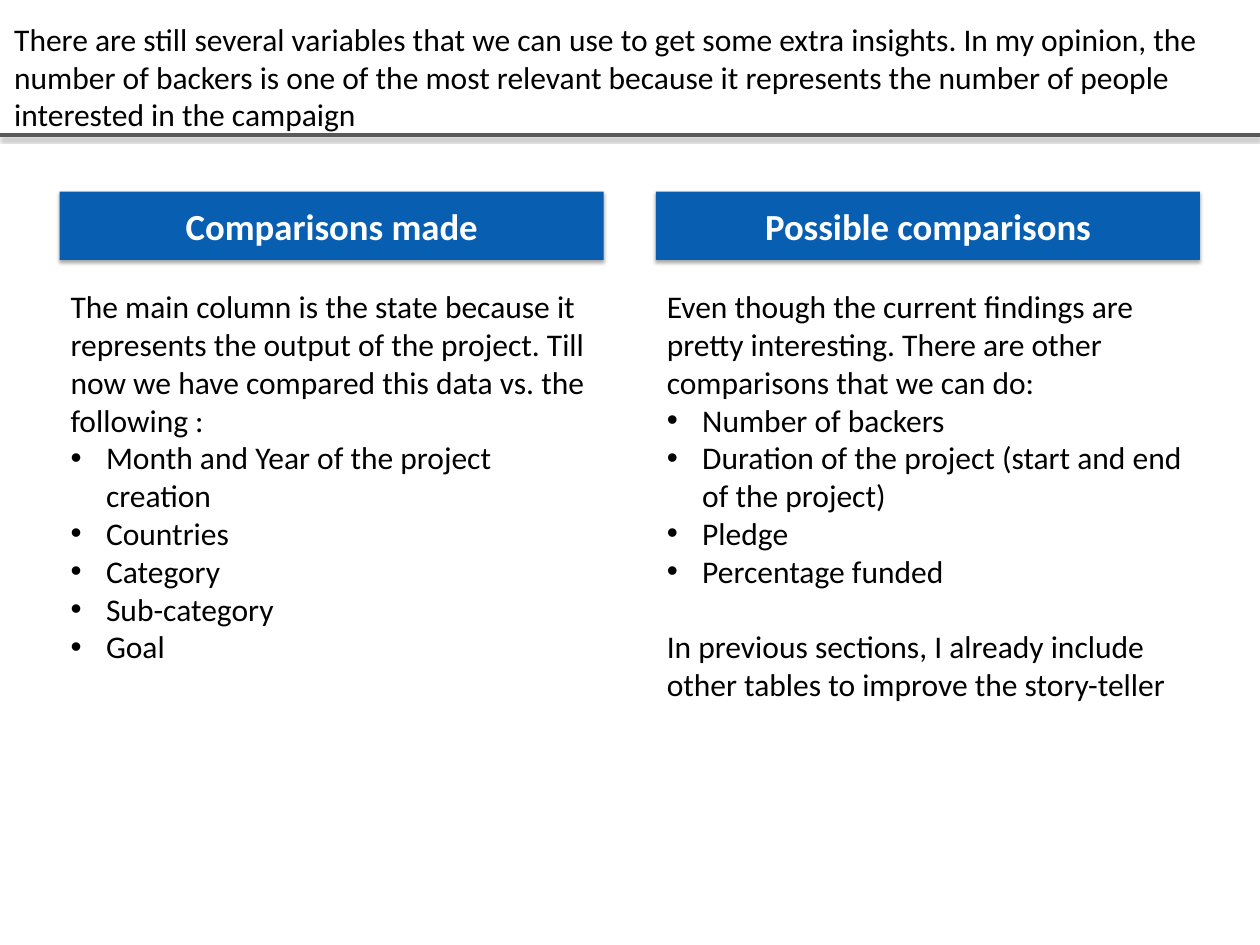
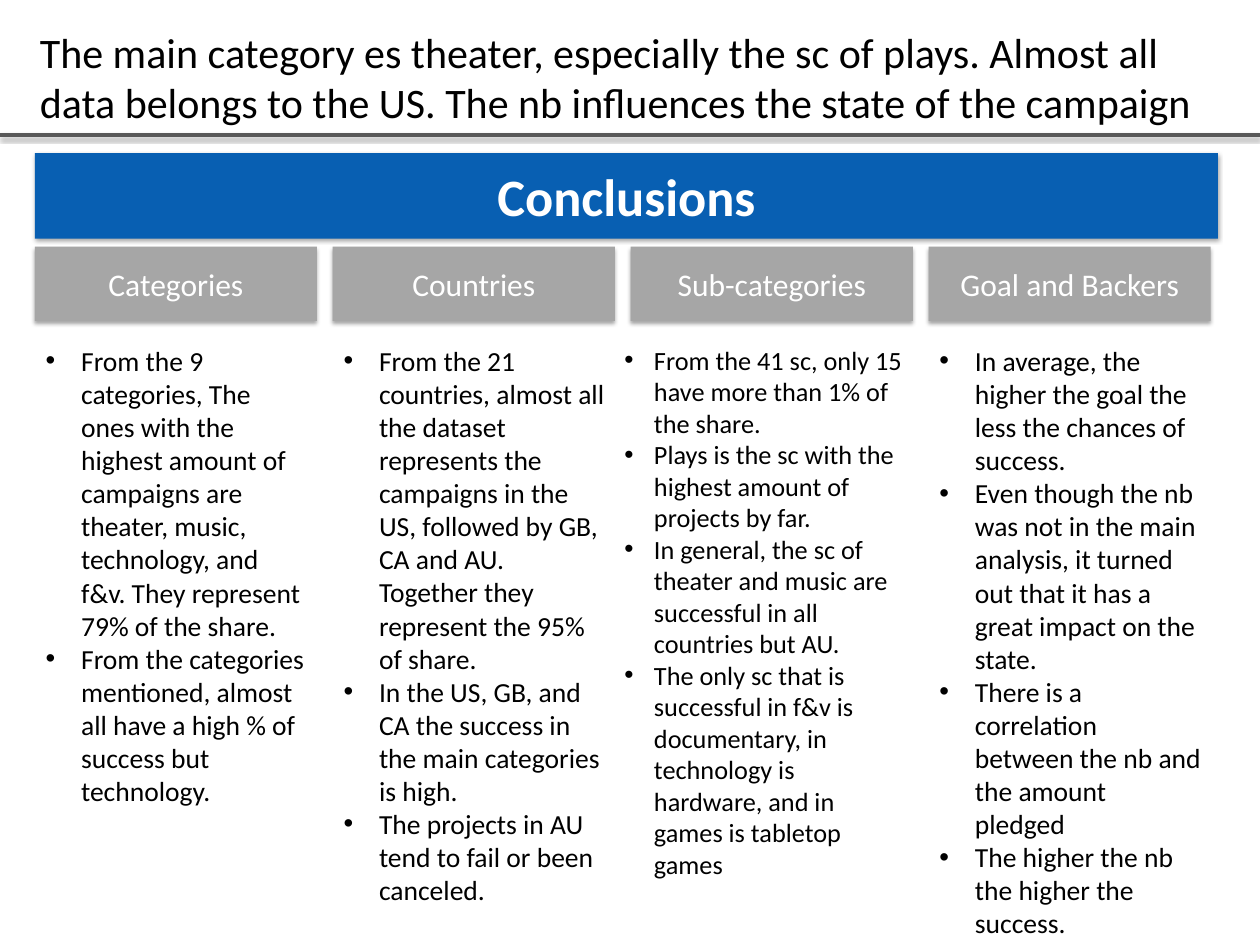
from lxml.etree import SubElement
from pptx import Presentation
from pptx.dml.color import RGBColor
from pptx.enum.shapes import MSO_CONNECTOR, MSO_SHAPE
from pptx.enum.text import MSO_ANCHOR, MSO_AUTO_SIZE, PP_ALIGN
from pptx.oxml.ns import qn
from pptx.util import Pt

COLORS = {"text": "000000", "white": "FFFFFF", "rule": "595959",
          "blue": "085FB2", "gray": "A6A6A6"}
FONT = "Calibri"
WIDTH, HEIGHT = 960, 720


def rgb(name):
    return RGBColor.from_string(COLORS[name])


def add_text(tf, text, size=24, color="text", bold=False, align=PP_ALIGN.LEFT,
             margin=0, hanging=0, bullet=False, before=0):
    p = tf.paragraphs[0] if not tf.text else tf.add_paragraph()
    pPr = p._p.get_or_add_pPr()
    pPr.set("marL", str(Pt(margin)))
    pPr.set("indent", str(-Pt(hanging)))
    if bullet:
        SubElement(pPr, qn("a:buFont"), typeface="Arial")
        SubElement(pPr, qn("a:buChar"), char="•")
    p.alignment = align
    if before:
        p.space_before = Pt(before)
    r = p.add_run()
    r.text = text
    r.font.name, r.font.size, r.font.bold = FONT, Pt(size), bold
    r.font.color.rgb = rgb(color)


def add_shadow(effects):
    shadow = SubElement(effects, qn("a:outerShdw"), blurRad=str(Pt(3.1)),
                        dist=str(Pt(1.8)), dir="5400000", rotWithShape="0")
    black = SubElement(shadow, qn("a:srgbClr"), val="000000")
    SubElement(black, qn("a:alpha"), val="35000")


class Deck:
    def __init__(self):
        self.prs = Presentation()
        self.prs.slide_width, self.prs.slide_height = Pt(WIDTH), Pt(HEIGHT)
        self.s = None

    def slide(self, title, x, width, size):
        self.s = self.prs.slides.add_slide(self.prs.slide_layouts[6])
        self.rule(103)
        tf = self.box(x, 12.25, width, 92).text_frame
        tf.vertical_anchor = MSO_ANCHOR.MIDDLE
        add_text(tf, title, size=size)

    def rule(self, y):
        line = self.s.shapes.add_connector(
            MSO_CONNECTOR.STRAIGHT, Pt(0), Pt(y), Pt(WIDTH), Pt(y))
        line.line.color.rgb = rgb("rule")
        line.line.width = Pt(3)
        add_shadow(SubElement(line._element.spPr, qn("a:effectLst")))

    def box(self, x, y, w, h):
        sp = self.s.shapes.add_textbox(Pt(x), Pt(y), Pt(w), Pt(h))
        sp.text_frame.word_wrap = True
        return sp

    def band(self, text, x, y, w, h, fill="blue", size=24, bold=True):
        sp = self.s.shapes.add_shape(
            MSO_SHAPE.RECTANGLE, Pt(x), Pt(y), Pt(w), Pt(h))
        sp.fill.solid()
        sp.fill.fore_color.rgb = rgb(fill)
        sp.line.fill.background()
        sp.shadow.inherit = False
        add_shadow(sp._element.spPr.find(qn("a:effectLst")))
        tf = sp.text_frame
        tf.word_wrap = True
        tf.vertical_anchor = MSO_ANCHOR.MIDDLE
        tf.margin_left = tf.margin_right = Pt(3.6)
        tf.margin_top = tf.margin_bottom = Pt(3.6)
        add_text(tf, text, size=size, color="white", bold=bold,
                 align=PP_ALIGN.CENTER)

    def body(self, x, y, w, h, bullets, size=24, hanging=27, intro="", closing=""):
        tf = self.box(x, y, w, h).text_frame
        tf.auto_size = MSO_AUTO_SIZE.SHAPE_TO_FIT_TEXT
        if intro:
            add_text(tf, intro, size=size, margin=1.2)
        for text in bullets:
            add_text(tf, text, size=size, margin=hanging + 1.2,
                     hanging=hanging, bullet=True)
        if closing:
            add_text(tf, closing, size=size, margin=1.2, before=size * 1.2)


COMPARISONS = [
    ("Comparisons made", 298, dict(
        intro="The main column is the state because it represents the output of "
              "the project. Till now we have compared this data vs. the following :",
        bullets=["Month and Year of the project creation", "Countries", "Category",
                 "Sub-category", "Goal"])),
    ("Possible comparisons", 327, dict(
        intro="Even though the current findings are pretty interesting. There are "
              "other comparisons that we can do:",
        bullets=["Number of backers",
                 "Duration of the project (start and end of the project)",
                 "Pledge", "Percentage funded"],
        closing="In previous sections, I already include other tables to improve "
                "the story-teller")),
]

CONCLUSIONS = [
    ("Categories", 364, [
        "From the 9 categories, The ones with the highest amount of campaigns are "
        "theater, music, technology, and f&v. They represent 79% of the share.",
        "From the categories mentioned, almost all have a high % of success but "
        "technology."]),
    ("Countries", 440, [
        "From the 21 countries, almost all the dataset represents the campaigns in "
        "the US, followed by GB, CA and AU. Together they represent the 95% of share.",
        "In the US, GB, and CA the success in the main categories is high.",
        "The projects in AU tend to fail or been canceled."]),
    ("Sub-categories", 419, [
        "From the 41 sc, only 15 have more than 1% of the share.",
        "Plays is the sc with the highest amount of projects by far.",
        "In general, the sc of theater and music are successful in all countries "
        "but AU.",
        "The only sc that is successful in f&v is documentary, in technology is "
        "hardware, and in games is tabletop games"]),
    ("Goal and Backers", 491, [
        "In average, the higher the goal the less the chances of success.",
        "Even though the nb was not in the main analysis, it turned out that it has "
        "a great impact on the state.",
        "There is a correlation between the nb and the amount pledged",
        "The higher the nb the higher the success."]),
]


def comparisons_slide(deck):
    deck.slide("There are still several variables that we can use to get some extra "
               "insights. In my opinion, the number of backers is one of the most "
               "relevant because it represents the number of people interested in "
               "the campaign", x=3.75, width=952.5, size=24)
    width, pitch = 414.5, 454.25
    for i, (heading, height, content) in enumerate(COMPARISONS):
        x = 45.5 + i * pitch
        deck.band(heading, x, 146, width, 52, size=28)
        deck.body(x, 215.3, width, height, **content)


def conclusions_slide(deck):
    deck.slide("The main category es theater, especially the sc of plays. Almost all "
               "data belongs to the US. The nb influences the state of the campaign",
               x=23.25, width=901.5, size=32)
    left, width, pitch = 26.5, 215, 227
    deck.band("Conclusions", left, 116.75, 901.5, 65, size=40)
    for i, (heading, height, bullets) in enumerate(CONCLUSIONS):
        x = left + i * pitch
        deck.band(heading, x, 188, width, 56.5, fill="gray", bold=False)
        if heading == "Sub-categories":
            deck.body(x - 13, 258.5, width + 14, height, bullets, size=20,
                      hanging=22.5)
        else:
            deck.body(x, 258.5, width, height, bullets, size=21)


def main():
    deck = Deck()
    comparisons_slide(deck)
    conclusions_slide(deck)
    deck.prs.save("out.pptx")


if __name__ == "__main__":
    main()
